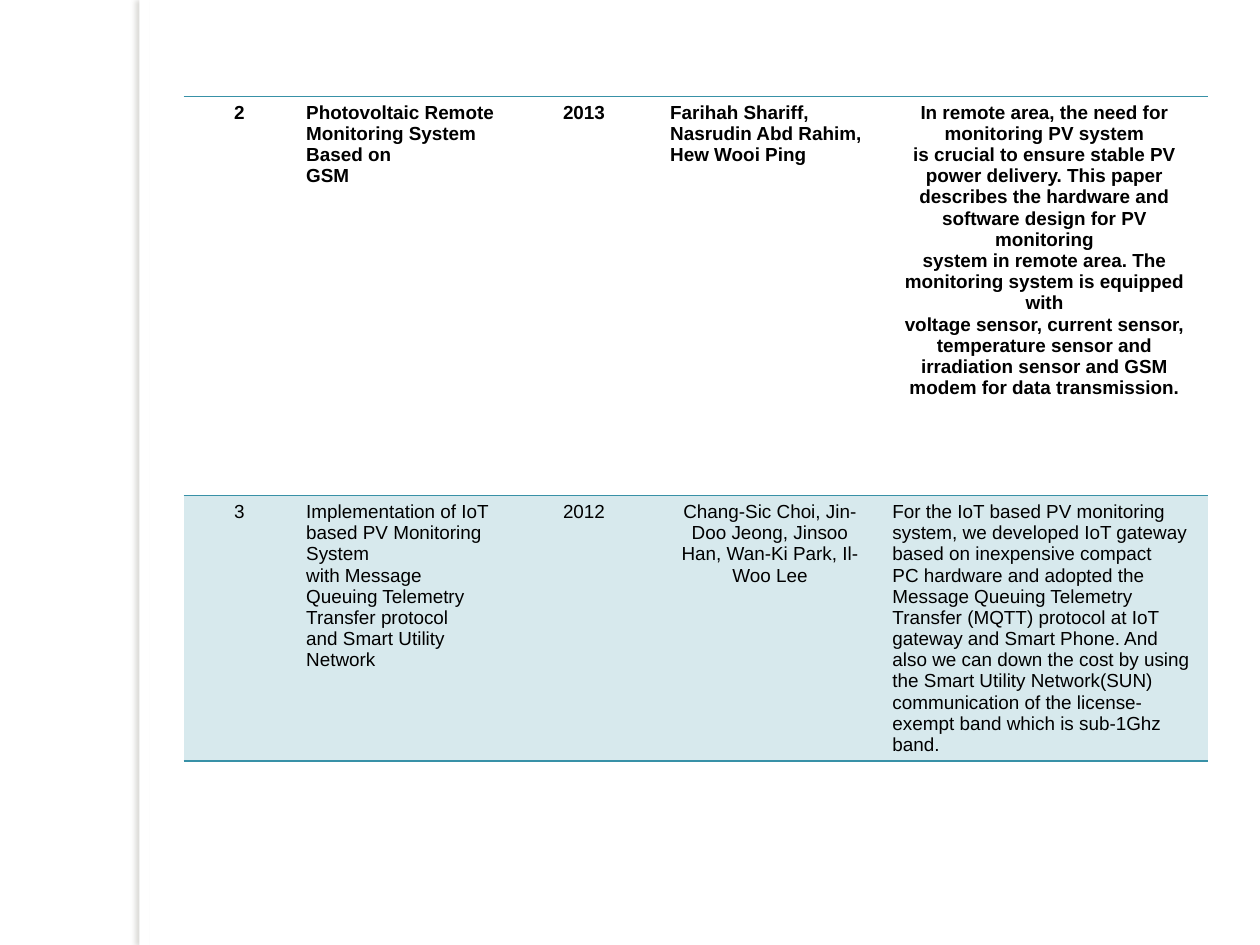
from lxml import etree
from pptx import Presentation
from pptx.dml.color import RGBColor
from pptx.enum.shapes import MSO_SHAPE
from pptx.enum.text import PP_ALIGN
from pptx.oxml import parse_xml
from pptx.oxml.ns import nsdecls, qn
from pptx.util import Inches, Pt

RECTANGLE = MSO_SHAPE.RECTANGLE
LEFT, CENTER = PP_ALIGN.LEFT, PP_ALIGN.CENTER

COLORS = {"paper": "FFFFFF", "rule": "3891A7", "tint": "D7E9ED",
          "text": "000000", "shadow": "736F63"}
PLAIN_TABLE_STYLE = "{2D5ABB26-0587-4C30-8999-92F81FD0307C}"
SLIDE_WIDTH, SLIDE_HEIGHT = 11.11, 8.33
COLUMN_WIDTHS = [0.98, 1.89, 1.32, 1.96, 2.88]

PAPERS = [
    {"height": 3.52, "bold": True, "fill": None, "rules": ("lnT", "lnB"),
     "aligns": [CENTER, LEFT, CENTER, LEFT, CENTER],
     "cells": [
         ["2"],
         ["Photovoltaic Remote Monitoring System Based on", "GSM"],
         ["2013"],
         ["Farihah Shariff, Nasrudin Abd Rahim, Hew Wooi Ping"],
         ["In remote area, the need for monitoring PV system",
          "is crucial to ensure stable PV power delivery. This paper",
          "describes the hardware and software design for PV monitoring",
          "system in remote area. The monitoring system is equipped with",
          "voltage sensor, current sensor, temperature sensor and",
          "irradiation sensor and GSM modem for data transmission."]]},
    {"height": 2.33, "bold": False, "fill": "tint", "rules": ("lnB",),
     "aligns": [CENTER, LEFT, CENTER, CENTER, LEFT],
     "cells": [
         ["3"],
         ["Implementation of IoT based PV Monitoring System",
          "with Message Queuing Telemetry Transfer protocol",
          "and Smart Utility Network"],
         ["2012"],
         ["Chang-Sic Choi, Jin-Doo Jeong, Jinsoo Han, Wan-Ki Park, Il-Woo Lee"],
         ["For the IoT based PV monitoring",
          "system, we developed IoT gateway based on inexpensive compact",
          "PC hardware and adopted the Message Queuing Telemetry",
          "Transfer (MQTT) protocol at IoT gateway and Smart Phone. And",
          "also we can down the cost by using the Smart Utility Network(SUN)",
          "communication of the license-exempt band which is sub-1Ghz",
          "band."]]},
]


def rgb(name):
    """Return the named colour."""
    return RGBColor.from_string(COLORS[name])


def add_side_strip(slide, left, top, width, height):
    """Add the white strip that casts a soft shadow to its left."""
    strip = slide.shapes.add_shape(
        RECTANGLE, Inches(left), Inches(top), Inches(width), Inches(height))
    strip.fill.solid()
    strip.fill.fore_color.rgb = rgb("paper")
    strip.line.fill.background()
    strip.shadow.inherit = False
    effects = strip._element.spPr.find(qn("a:effectLst"))
    effects.append(parse_xml(
        f'<a:outerShdw {nsdecls("a")} blurRad="{Pt(3)}" dist="{Pt(3)}" '
        f'dir="10800000" algn="tl" rotWithShape="0">'
        f'<a:srgbClr val="{COLORS["shadow"]}"><a:alpha val="25000"/></a:srgbClr>'
        f'</a:outerShdw>'))


def add_rule(cell, side):
    """Draw a border line on one side of a cell."""
    properties = cell._tc.get_or_add_tcPr()
    line = etree.SubElement(properties, qn(f"a:{side}"), w=str(Pt(1)))
    fill = etree.SubElement(line, qn("a:solidFill"))
    etree.SubElement(fill, qn("a:srgbClr"), val=COLORS["rule"])


def fill_cell(cell, lines, align, paper):
    """Write one cell and give it the look of its paper's row."""
    cell.text = "\n".join(lines)
    for paragraph in cell.text_frame.paragraphs:
        paragraph.alignment = align
        paragraph.font.name = "Arial"
        paragraph.font.size = Pt(12)
        paragraph.font.bold = paper["bold"]
        paragraph.font.color.rgb = rgb("text")
    for side in paper["rules"]:
        add_rule(cell, side)
    if paper["fill"]:
        cell.fill.solid()
        cell.fill.fore_color.rgb = rgb(paper["fill"])
    else:
        cell.fill.background()


def add_survey_table(slide, left, top, width, height):
    """Add the literature survey table, one row for each paper."""
    survey = slide.shapes.add_table(
        len(PAPERS), len(COLUMN_WIDTHS),
        Inches(left), Inches(top), Inches(width), Inches(height)).table
    survey.first_row = survey.horz_banding = False
    survey._tbl.tblPr.find(qn("a:tableStyleId")).text = PLAIN_TABLE_STYLE
    for column, column_width in zip(survey.columns, COLUMN_WIDTHS):
        column.width = Inches(column_width)
    for row, paper in zip(survey.rows, PAPERS):
        row.height = Inches(paper["height"])
        for cell, lines, align in zip(row.cells, paper["cells"], paper["aligns"]):
            fill_cell(cell, lines, align, paper)


def main():
    """Build the slide and save it."""
    deck = Presentation()
    deck.slide_width = Inches(SLIDE_WIDTH)
    deck.slide_height = Inches(SLIDE_HEIGHT)
    slide = deck.slides.add_slide(deck.slide_layouts[6])
    add_side_strip(slide, 1.23, 0, 0.09, SLIDE_HEIGHT)
    add_survey_table(slide, 1.62, 0.85, sum(COLUMN_WIDTHS),
                     sum(paper["height"] for paper in PAPERS))
    deck.save("out.pptx")


if __name__ == "__main__":
    main()
